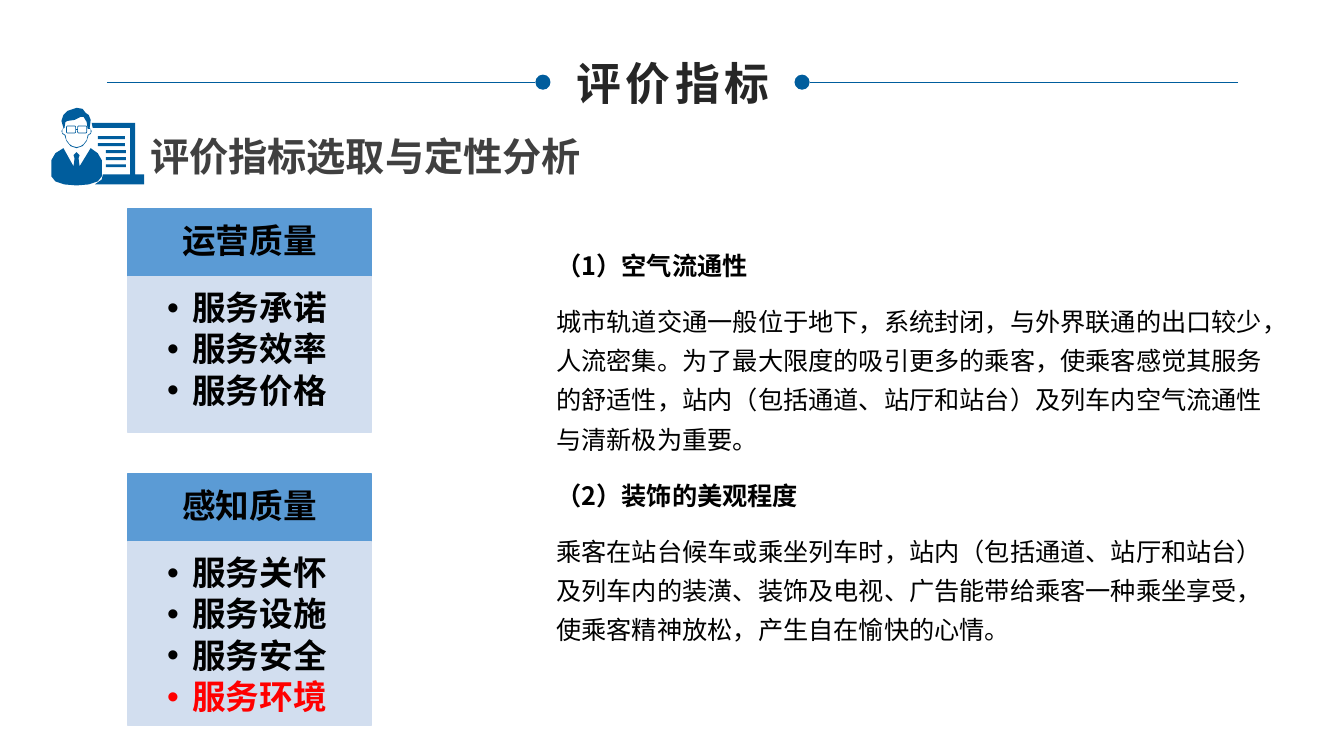
"""Build the evaluation indicator slide."""
from lxml.etree import SubElement
from pptx import Presentation
from pptx.dml.color import RGBColor
from pptx.enum.shapes import MSO_CONNECTOR, MSO_SHAPE
from pptx.enum.text import MSO_ANCHOR, MSO_AUTO_SIZE, PP_ALIGN
from pptx.oxml.ns import qn
from pptx.util import Pt

PX = 9144
FONT = "Noto Sans CJK SC"
COLORS = {
    "navy": "005D9D", "header": "5B9BD5", "panel": "D2DEEF", "title": "262626",
    "subtitle": "404040", "text": "000000", "highlight": "FF0000",
}
PANEL_LEFT, PANEL_WIDTH, HEADER_HEIGHT = 127, 241, 67
PANELS = [
    (207, 155, "运营质量", ["服务承诺", "服务效率", "服务价格"]),
    (470, 183, "感知质量", ["服务关怀", "服务设施", "服务安全", "服务环境"]),
]
HIGHLIGHTED = "服务环境"
CRITERIA = [
    ("（1）空气流通性",
     "城市轨道交通一般位于地下，系统封闭，与外界联通的出口较少，人流密集。为了最大限度的吸引更多的乘客，"
     "使乘客感觉其服务的舒适性，站内（包括通道、站厅和站台）及列车内空气流通性与清新极为重要。"),
    ("（2）装饰的美观程度",
     "乘客在站台候车或乘坐列车时，站内（包括通道、站厅和站台）及列车内的装潢、装饰及电视、广告"
     "能带给乘客一种乘坐享受，使乘客精神放松，产生自在愉快的心情。"),
]
HEAD = [
    [(61, 130), (62, 133), (64, 134), (66, 140), (70, 145), (76, 147), (82, 145),
     (86, 140), (88, 134), (90, 133), (91, 130), (89, 127), (90, 119), (88, 114),
     (85, 112), (82, 108), (76, 107), (67, 110), (63, 114), (61, 120), (63, 127)],
    [(64, 127), (65, 121), (67, 120), (74, 119), (80, 116), (83, 116), (86, 121),
     (87, 128), (90, 128), (90, 132), (87, 134), (86, 139), (83, 143), (80, 145),
     (76, 146), (72, 145), (69, 143), (66, 139), (65, 134), (62, 132), (62, 128)],
]
BOARD = [[(134, 173), (134, 122), (91, 122), (92, 127), (129, 127), (129, 173),
          (102, 173), (101, 178), (94, 183), (143, 183), (143, 173)]]
SUIT = [[(101, 175), (101, 159), (97, 152), (90, 147), (79, 165), (78, 157), (79, 154),
         (76, 151), (73, 154), (74, 157), (73, 165), (63, 147), (55, 152), (51, 159),
         (51, 175), (55, 180), (64, 183), (76, 184), (88, 183), (97, 180)]]


def rgb(name):
    return RGBColor.from_string(COLORS[name])


def box(left, top, width, height):
    return [value * PX for value in (left, top, width, height)]


def paint(shape, color):
    shape.shadow.inherit = False
    shape.fill.solid()
    shape.fill.fore_color.rgb = rgb(color)
    shape.line.fill.background()


def add_block(shapes, kind, bounds, color):
    block = shapes.add_shape(kind, *box(*bounds))
    paint(block, color)
    return block


def add_outline(shapes, contours, color):
    builder = shapes.build_freeform(*contours[0][0], scale=PX)
    builder.add_line_segments(contours[0][1:], close=True)
    for contour in contours[1:]:
        builder.move_to(*contour[0])
        builder.add_line_segments(contour[1:], close=True)
    paint(builder.convert_to_shape(), color)


def add_rule(shapes, start, end, y, width):
    rule = shapes.add_connector(MSO_CONNECTOR.STRAIGHT, start * PX, y * PX, end * PX, y * PX)
    rule.line.color.rgb = rgb("navy")
    rule.line.width = Pt(width)
    SubElement(rule._element.spPr, qn("a:effectLst"))


def style(paragraph, size, color, bold=True):
    for run in paragraph.runs:
        run.font.size = Pt(size)
        run.font.bold = bold
        run.font.color.rgb = rgb(color)
        run.font.name = FONT
        SubElement(run._r.get_or_add_rPr(), qn("a:ea"), typeface=FONT)


def set_spacing(paragraph, line, after):
    paragraph.line_spacing = line
    paragraph.space_after = Pt(after)


def set_bullet(paragraph):
    properties = paragraph._p.get_or_add_pPr()
    properties.set("marL", str(25 * PX))
    properties.set("indent", str(-25 * PX))
    SubElement(properties, qn("a:buFont"), typeface="Arial")
    SubElement(properties, qn("a:buChar"), char="•")


def set_insets(frame, left, top, right, bottom):
    frame.word_wrap = True
    frame.margin_left, frame.margin_top, frame.margin_right, frame.margin_bottom = box(
        left, top, right, bottom)


def add_title(slide):
    title = slide.shapes.title
    title.left, title.top, title.width, title.height = box(559, 50, 217, 64)
    frame = title.text_frame
    frame.text = "评价指标"
    frame.word_wrap = False
    frame.auto_size = MSO_AUTO_SIZE.NONE
    frame.vertical_anchor = MSO_ANCHOR.MIDDLE
    heading = frame.paragraphs[0]
    heading.alignment = PP_ALIGN.CENTER
    style(heading, 32, "title")
    heading.runs[0]._r.get_or_add_rPr().set("spc", "300")
    for start, end, dot_left in ((106, 531, 531), (1228, 803, 788)):
        add_rule(slide.shapes, start, end, 82, 0.25)
        add_block(slide.shapes, MSO_SHAPE.OVAL, (dot_left, 74, 15, 15), "navy")


def add_icon(slide):
    icon = slide.shapes.add_group_shape().shapes
    for contours in (HEAD, BOARD, SUIT):
        add_outline(icon, contours, "navy")
    for left in (66, 77):
        lens = icon.add_shape(MSO_SHAPE.ROUNDED_RECTANGLE, *box(left, 125, 9, 7))
        lens.shadow.inherit = False
        lens.fill.background()
        lens.line.color.rgb = rgb("navy")
        lens.line.width = Pt(0.5)
    add_rule(icon, 75, 77, 128, 0.5)
    for row in range(5):
        left, width = (97, 27) if row < 2 else (105, 20)
        add_block(icon, MSO_SHAPE.RECTANGLE, (left, 135 + 7 * row, width, 3), "navy")


def add_panel(slide, top, height, heading, items):
    header = add_block(slide.shapes, MSO_SHAPE.RECTANGLE,
                       (PANEL_LEFT, top, PANEL_WIDTH, HEADER_HEIGHT), "header")
    header.line.color.rgb = rgb("header")
    header.line.width = Pt(1)
    frame = header.text_frame
    set_insets(frame, 20, 12, 20, 12)
    frame.vertical_anchor = MSO_ANCHOR.MIDDLE
    frame.text = heading
    frame.paragraphs[0].alignment = PP_ALIGN.CENTER
    set_spacing(frame.paragraphs[0], 0.9, 8.4)
    style(frame.paragraphs[0], 24, "text")

    body = add_block(slide.shapes, MSO_SHAPE.RECTANGLE,
                     (PANEL_LEFT, top + HEADER_HEIGHT, PANEL_WIDTH, height), "panel")
    body.line.color.rgb = rgb("panel")
    body.line.width = Pt(1)
    frame = body.text_frame
    set_insets(frame, 15, 15, 20, 23)
    frame.vertical_anchor = MSO_ANCHOR.TOP
    frame.text = "\n".join(items)
    for item in frame.paragraphs:
        item.level = 1
        item.alignment = PP_ALIGN.CENTER
        set_spacing(item, 0.9, 3.6)
        set_bullet(item)
        style(item, 24, "highlight" if item.text == HIGHLIGHTED else "text")


def add_text(slide, bounds, text):
    frame = slide.shapes.add_textbox(*box(*bounds)).text_frame
    frame.word_wrap = True
    frame.text = text
    return frame.paragraphs


def main():
    deck = Presentation()
    deck.slide_width, deck.slide_height = 1333 * PX, 750 * PX
    slide = deck.slides.add_slide(deck.slide_layouts[5])
    add_title(slide)
    add_icon(slide)
    style(add_text(slide, (139, 126, 479, 57), "评价指标选取与定性分析")[0], 28, "subtitle")
    for panel in PANELS:
        add_panel(slide, *panel)
    lines = [line for criterion in CRITERIA for line in criterion]
    for index, paragraph in enumerate(add_text(slide, (542, 234, 744, 409), "\n".join(lines))):
        set_spacing(paragraph, 1.3, 12)
        style(paragraph, 18, "text", bold=index % 2 == 0)
    deck.save("out.pptx")


if __name__ == "__main__":
    main()
